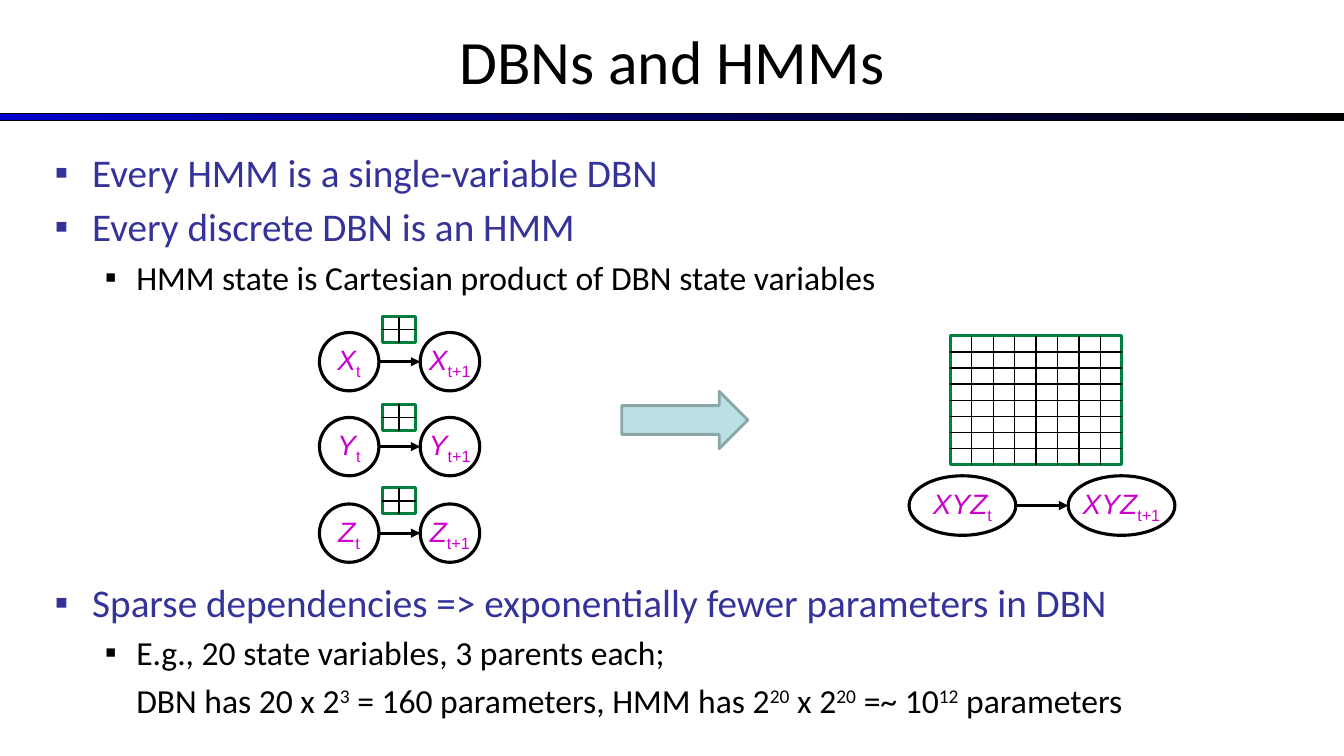
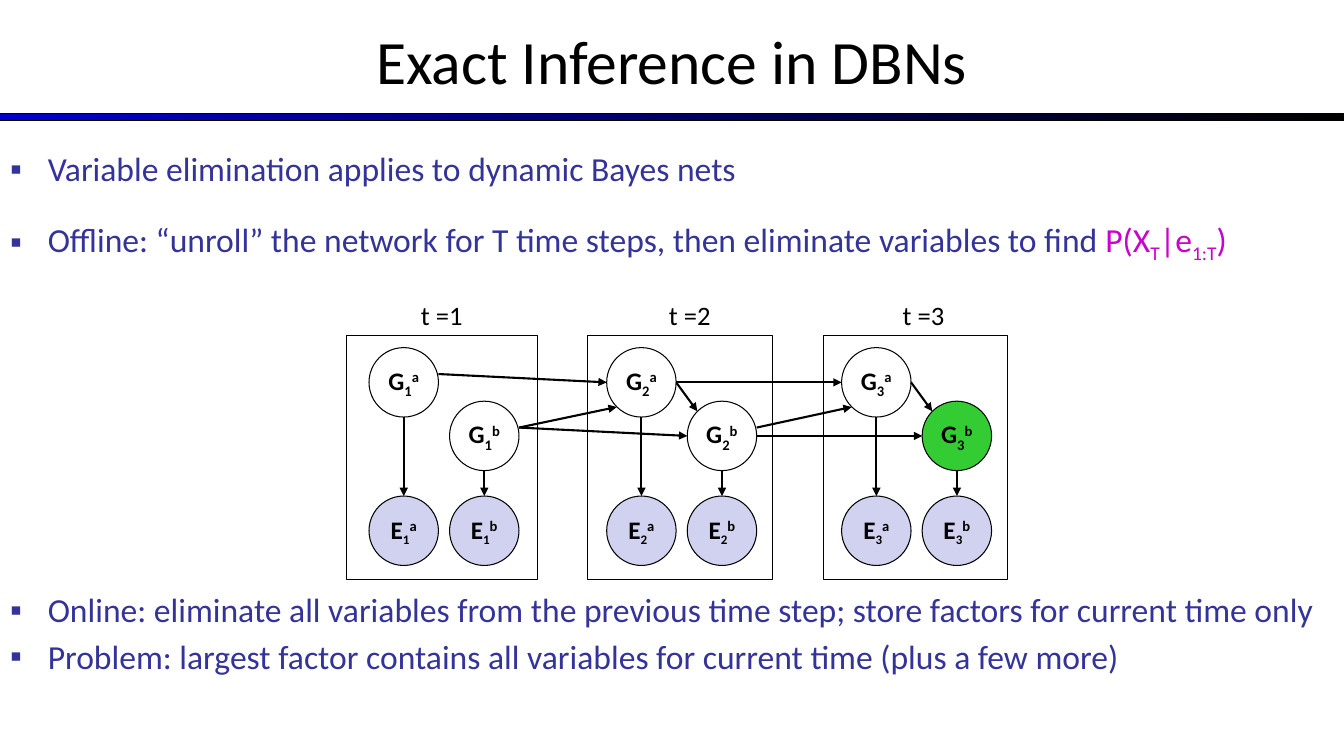
from dataclasses import dataclass
from typing import NamedTuple, Optional, Sequence

from lxml import etree
from pptx import Presentation
from pptx.dml.color import RGBColor
from pptx.enum.shapes import MSO_CONNECTOR, MSO_SHAPE
from pptx.enum.text import MSO_ANCHOR, MSO_AUTO_SIZE, PP_ALIGN
from pptx.oxml.ns import qn
from pptx.util import Cm, Pt

RECT, OVAL, ARROW = MSO_SHAPE.RECTANGLE, MSO_SHAPE.OVAL, MSO_SHAPE.RIGHT_ARROW
STRAIGHT = MSO_CONNECTOR.STRAIGHT
CENTER, MIDDLE, TOP = PP_ALIGN.CENTER, MSO_ANCHOR.MIDDLE, MSO_ANCHOR.TOP
NO_FIT = MSO_AUTO_SIZE.NONE

COLORS = {
    "black": "000000",
    "white": "FFFFFF",
    "blue": "0000CC",
    "indigo": "333399",
    "variable": "CC00CD",
    "query": "CC00CC",
    "table": "007F3F",
    "arrow": "BBE0E3",
    "arrow_edge": "8AA6A8",
    "evidence": "D1D1F0",
    "target": "33CC33",
}
TEXT_FONT, MATH_FONT = "Calibri", "Arial"
SLIDE_W, SLIDE_H = 33.87, 19.05
SUB, SUPER = -25, 30


class Span(NamedTuple):
    text: str
    baseline: int = 0
    color: Optional[str] = None
    italic: bool = False
    size: Optional[float] = None


class Point(NamedTuple):
    x: float
    y: float


class Box(NamedTuple):
    """A rectangle in centimetres."""
    x: float
    y: float
    w: float
    h: float

    def at(self, dx: float, dy: float) -> Point:
        """Point at offsets from the centre, as fractions of the half sizes."""
        return Point(self.x + self.w * (1 + dx) / 2, self.y + self.h * (1 + dy) / 2)

    def lengths(self) -> list:
        return [Cm(v) for v in self]


@dataclass
class Item:
    spans: Sequence[Span]
    size: float
    gap: float = 5
    level: int = 0
    bullet: bool = True


@dataclass
class Style:
    fill: Optional[str] = None
    line: str = "black"
    width: float = 0.75


@dataclass
class Step:
    """One time slice of the unrolled network."""
    frame_x: float
    frame_w: float
    label_x: float
    node_x: float


LEFT, RIGHT, UP, DOWN = (-1, 0), (1, 0), (0, -1), (0, 1)
UPPER_LEFT, LOWER_LEFT, RAISED_RIGHT = (-0.71, -0.71), (-0.71, 0.71), (1, -0.24)
LEVELS = [("indigo", 0.95, -0.95), ("black", 2.06, -0.79)]  # colour, margin, indent


def rgb(name: str) -> RGBColor:
    return RGBColor.from_string(COLORS[name])


def set_text(p, spans: Sequence[Span], size: float, color: str = "black",
             font: str = TEXT_FONT, bold: bool = False) -> None:
    p.font.name, p.font.size, p.font.bold = font, Pt(size), bold
    p.font.color.rgb = rgb(color)
    for span in spans:
        r = p.add_run()
        r.text = span.text
        if span.baseline:
            r._r.get_or_add_rPr().set("baseline", str(span.baseline * 1000))
        if span.color:
            r.font.color.rgb = rgb(span.color)
        if span.italic:
            r.font.italic = True
        if span.size:
            r.font.size = Pt(span.size)


def add_box(s, preset, box: Box, style: Style):
    sp = s.shapes.add_shape(preset, *box.lengths())
    sp.shadow.inherit = False
    if style.fill:
        sp.fill.solid()
        sp.fill.fore_color.rgb = rgb(style.fill)
    else:
        sp.fill.background()
    sp.line.color.rgb = rgb(style.line)
    sp.line.width = Pt(style.width)
    return sp


def add_node(s, box: Box, style: Style, spans: Sequence[Span], size: float,
             color: str = "black", font: str = TEXT_FONT, bold: bool = False) -> None:
    tf = add_box(s, OVAL, box, style).text_frame
    tf.word_wrap = False
    tf.vertical_anchor = MIDDLE
    p = tf.paragraphs[0]
    p.alignment = CENTER
    set_text(p, spans, size, color, font, bold)


def add_line(s, start: Point, end: Point, width: float, arrow: bool = False) -> None:
    c = s.shapes.add_connector(STRAIGHT, Cm(start.x), Cm(start.y), Cm(end.x), Cm(end.y))
    c.line.color.rgb = rgb("black")
    c.line.width = Pt(width)
    sp_pr = c._element.spPr
    if arrow:
        etree.SubElement(sp_pr.find(qn("a:ln")), qn("a:tailEnd"), type="triangle")
    etree.SubElement(sp_pr, qn("a:effectLst"))


def add_grid(s, box: Box, n: int) -> None:
    """Draw a probability table of n by n empty cells."""
    add_box(s, RECT, box, Style(line="table", width=2.25))
    for i in range(1, n):
        t = 2 * i / n - 1
        add_line(s, box.at(t, -1), box.at(t, 1), 1)
        add_line(s, box.at(-1, t), box.at(1, t), 1)


def place(ph, box: Box, anchor):
    ph.left, ph.top, ph.width, ph.height = box.lengths()
    tf = ph.text_frame
    tf.word_wrap = True
    tf.auto_size = NO_FIT
    tf.vertical_anchor = anchor
    return tf


def set_bullet(p, item: Item) -> None:
    color, margin, indent = LEVELS[item.level]
    p_pr = p._p.get_or_add_pPr()
    p_pr.set("marL", str(Cm(margin)))
    p_pr.set("indent", str(Cm(indent) if item.bullet else 0))
    if item.bullet:
        bu_clr = etree.SubElement(p_pr, qn("a:buClr"))
        etree.SubElement(bu_clr, qn("a:srgbClr"), val=COLORS[color])
        etree.SubElement(p_pr, qn("a:buFont"), typeface=MATH_FONT)
        etree.SubElement(p_pr, qn("a:buChar"), char="▪")
    else:
        etree.SubElement(p_pr, qn("a:buNone"))


def new_slide(prs, title: str, body: Box, items: Sequence[Item]):
    s = prs.slides.add_slide(prs.slide_layouts[1])
    band = add_box(s, RECT, Box(0, 2.87, SLIDE_W, 0.18), Style())
    band.fill.gradient()
    band.fill.gradient_angle = 0
    for stop, color in zip(band.fill.gradient_stops, ("blue", "black")):
        stop.color.rgb = rgb(color)

    p = place(s.shapes.title, Box(0, -0.08, SLIDE_W, 3.18), MIDDLE).paragraphs[0]
    p.alignment = CENTER
    set_text(p, [Span(title)], 44)

    tf = place(s.placeholders[1], body, TOP)
    for i, item in enumerate(items):
        p = tf.add_paragraph() if i else tf.paragraphs[0]
        p.level = item.level
        p.space_before = Pt(item.gap if i else 0)
        set_bullet(p, item)
        set_text(p, item.spans, item.size, LEVELS[item.level][0])
    return s


def add_transition(s, name: str, left: Box, right: Box) -> None:
    """Draw a variable at t and t+1, joined by an arrow."""
    for box, time in ((left, "t"), (right, "t+1")):
        add_node(s, box, Style("white", width=2.25),
                 [Span(name, italic=True), Span(time, SUB)], 20, "variable", MATH_FONT)
    add_line(s, left.at(*RIGHT), right.at(*LEFT), 2.25, arrow=True)


def hmm_slide(prs) -> None:
    s = new_slide(prs, "DBNs and HMMs", Box(1.12, 3.61, 28.5, 13.13), [
        Item([Span("Every HMM is a single-variable DBN")], 28),
        Item([Span("Every discrete DBN is an HMM")], 28),
        Item([Span("HMM state is Cartesian product of DBN state variables")], 24, level=1),
        Item([Span("Sparse dependencies => exponentially fewer parameters in DBN")], 28, gap=201),
        Item([Span("E.g., 20 state variables, 3 parents each;")], 24, level=1),
        Item([Span("DBN has 20 x 2"), Span("3", SUPER),
              Span(" = 160 parameters, HMM has 2"), Span("20", SUPER),
              Span(" x 2"), Span("20", SUPER), Span(" =~ 10"), Span("12", SUPER),
              Span(" parameters")], 24, level=1, bullet=False),
    ])
    for name, node_y, grid_y in (("X", 8.38, 7.98), ("Y", 10.52, 10.19), ("Z", 12.7, 12.29)):
        add_grid(s, Box(9.63, grid_y, 0.85, 0.66), 2)
        add_transition(s, name, Box(8.05, node_y, 1.5, 1.47), Box(10.59, node_y, 1.5, 1.47))
    add_grid(s, Box(23.95, 8.46, 4.32, 3.25), 8)
    add_transition(s, "XYZ", Box(22.91, 11.99, 2.69, 1.5), Box(26.92, 11.99, 2.69, 1.5))
    add_box(s, ARROW, Box(15.67, 9.86, 3.18, 1.45), Style("arrow", "arrow_edge", 2))


def inference_slide(prs) -> None:
    s = new_slide(prs, "Exact Inference in DBNs", Box(0, 3.61, SLIDE_W, 13.41), [
        Item([Span("Variable elimination applies to dynamic Bayes nets")], 24),
        Item([Span("Offline: “unroll” the network for T time steps, "
                   "then eliminate variables to find "),
              Span("P(X", color="query"), Span("T", SUB, "query"), Span("|e", color="query"),
              Span("1:T", SUB, "query"), Span(")", color="query")], 24, gap=21.5),
        Item([Span("Online: eliminate all variables from the previous time step; "
                   "store factors for current time only")], 24, gap=232),
        Item([Span("Problem: largest factor contains all variables "
                   "for current time (plus a few more)")], 24, gap=4.5),
    ])
    steps = [Step(8.74, 4.8, 10.36, 9.3), Step(14.81, 4.65, 16.61, 15.29),
             Step(20.75, 4.65, 22.5, 21.21)]
    diameter, column_gap, evidence_y = 1.75, 2.03, 12.5
    state_y = {"a": 8.76, "b": 10.11}
    states = {}
    for t, step in enumerate(steps, 1):
        add_box(s, RECT, Box(step.frame_x, 8.46, step.frame_w, 6.15), Style())
        label = s.shapes.add_textbox(*Box(step.label_x, 7.42, 1.57, 1.07).lengths())
        label.text_frame.word_wrap = False
        set_text(label.text_frame.paragraphs[0], [Span(f"t ={t}")], 19)
        for i, (chain, y) in enumerate(state_y.items()):
            x = step.node_x + i * column_gap
            state = states[f"{t}{chain}"] = Box(x, y, diameter, diameter)
            evidence = Box(x, evidence_y, diameter, diameter)
            fill = "target" if (t, chain) == (3, "b") else None
            add_node(s, state, Style(fill),
                     [Span("G"), Span(str(t), SUB), Span(chain, SUPER)], 18, bold=True)
            add_node(s, evidence, Style("evidence"),
                     [Span("E"), Span(str(t), SUB, size=16), Span(chain, SUPER)], 18, bold=True)
            add_line(s, state.at(*DOWN), evidence.at(*UP), 1.5, arrow=True)

    for source, side, target, target_side in (
        ("1a", RAISED_RIGHT, "2a", LEFT),
        ("1b", RAISED_RIGHT, "2b", LEFT),
        ("1b", RAISED_RIGHT, "2a", LOWER_LEFT),
        ("2a", RIGHT, "2b", UPPER_LEFT),
        ("2a", RIGHT, "3a", LEFT),
        ("2b", RAISED_RIGHT, "3a", LOWER_LEFT),
        ("2b", RIGHT, "3b", LEFT),
        ("3a", RIGHT, "3b", UPPER_LEFT),
    ):
        add_line(s, states[source].at(*side), states[target].at(*target_side), 1.5, arrow=True)


def main() -> None:
    prs = Presentation()
    prs.slide_width, prs.slide_height = Cm(SLIDE_W), Cm(SLIDE_H)
    hmm_slide(prs)
    inference_slide(prs)
    prs.save("out.pptx")


if __name__ == "__main__":
    main()
